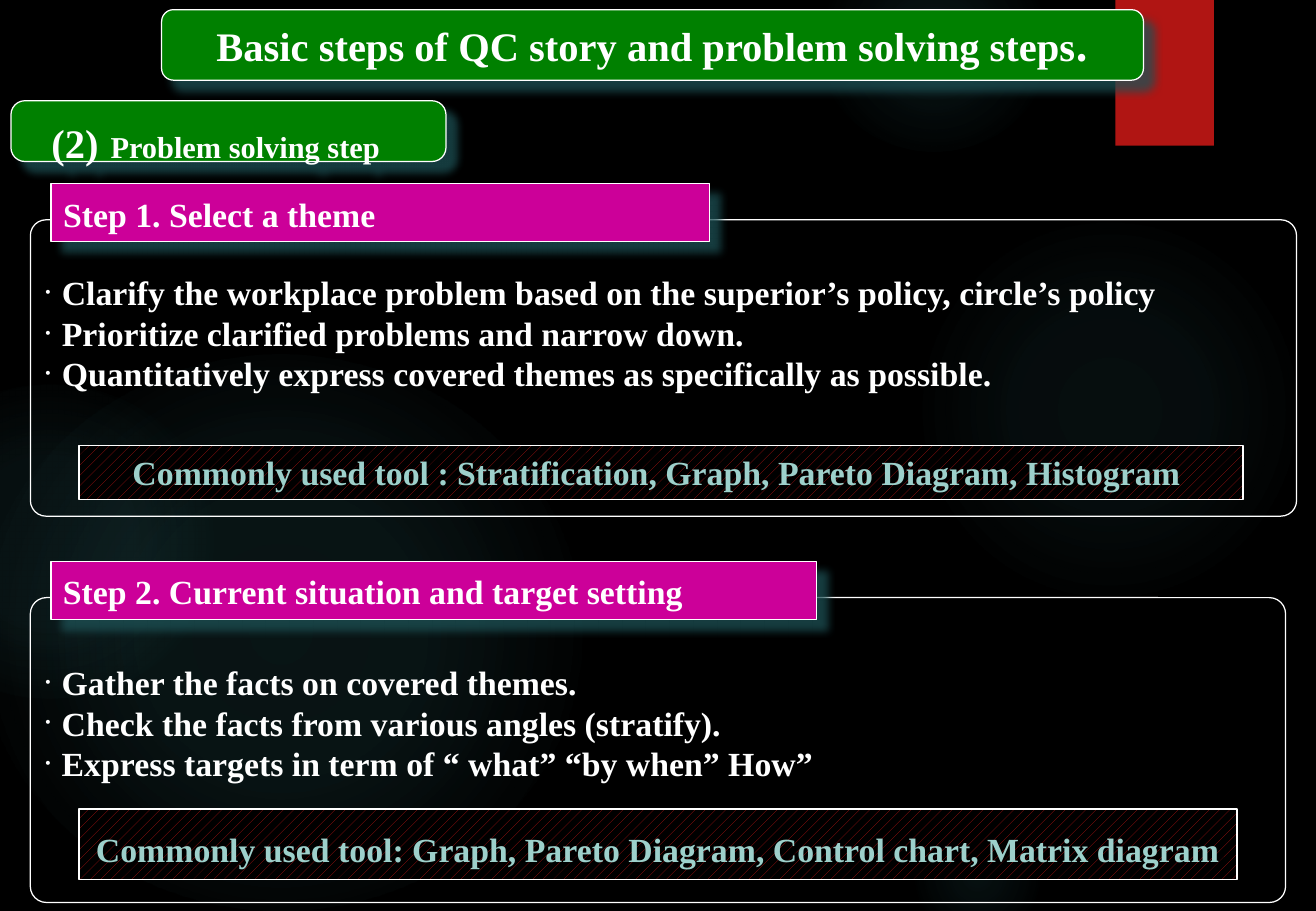
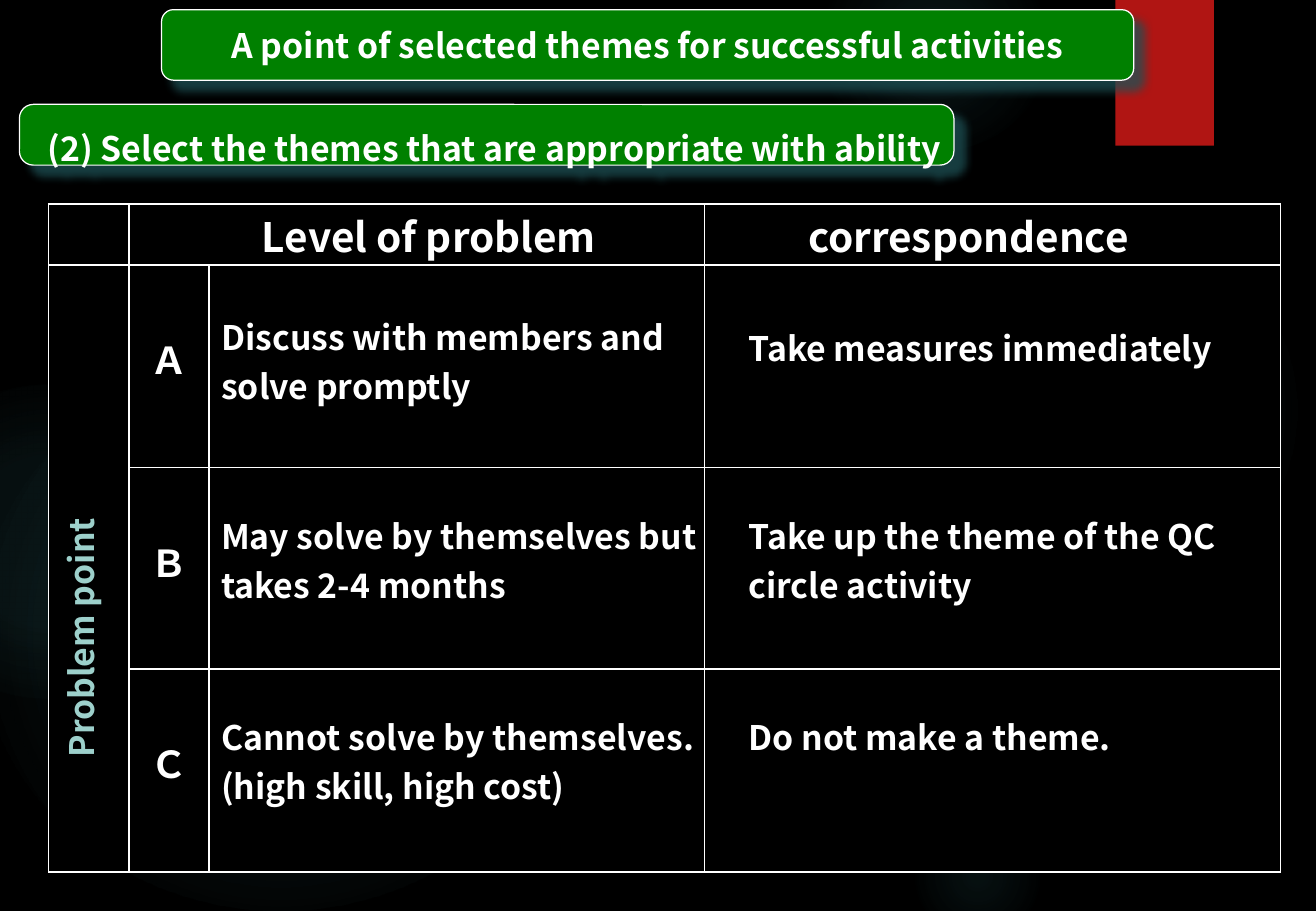
from dataclasses import dataclass

from lxml import etree
from pptx import Presentation
from pptx.dml.color import RGBColor as Rgb
from pptx.enum.dml import MSO_PATTERN as Pat
from pptx.enum.shapes import MSO_SHAPE as Kind
from pptx.enum.text import MSO_ANCHOR as Anchor
from pptx.enum.text import MSO_AUTO_SIZE as Fit
from pptx.enum.text import PP_ALIGN as Align
from pptx.oxml import parse_xml
from pptx.oxml.ns import nsdecls, qn
from pptx.util import Inches, Pt


@dataclass(frozen=True)
class Theme:
    back: str = "000000"
    ink: str = "FFFFFF"
    pale: str = "9DD0CB"
    green: str = "008000"
    pink: str = "CC0099"
    red: str = "B01513"
    glow: str = "50B9C1"
    shade: str = "1E5155"
    serif: str = "Times New Roman"
    sans: str = "Noto Sans CJK JP"
    note: float = 18
    body: float = 20
    mark: float = 22
    head: float = 24
    wide: float = 28
    thin: float = 0.75
    rule: float = 1


T = Theme()


@dataclass(frozen=True)
class Run:
    text: str
    size: float = T.body
    font: str = T.serif
    tint: str = T.ink


def sans(text, size=T.body, tint=T.ink):
    return Run(text, size, T.sans, tint)


GAP = sans(" ", T.wide)

GLOWS = [
    ((7.46, 1.83, 3.34, 3.08), ((0, 7), (36, 6), (69, 0))),
    ((6.74, -0.5, 1.9, 1.75), ((0, 14), (36, 7), (73, 0))),
    ((7.46, 6.67, 1.17, 1.08), ((0, 9), (36, 5), (66, 0))),
    ((-0.18, 2.92, 4.97, 4.58), ((0, 11), (36, 10), (75, 0))),
    ((-0.99, 3.17, 2.8, 2.58), ((0, 8), (36, 8), (72, 0))),
]

GRID = {"left": 0.4, "top": 1.68, "cols": (0.66, 0.66, 4.08, 4.74), "rows": (0.5, 1.67, 1.66, 1.67)}

LEVELS = [
    ("Ａ", "Discuss with members and solve promptly", [sans("Take measures immediately"), GAP]),
    ("Ｂ", "May solve by themselves but takes 2-4 months",
     [sans("Take up the theme of the QC circle activity")]),
    ("Ｃ", "Cannot solve by themselves. (high skill, high cost)", [sans("Do not make a theme.")]),
]


def rgb(code):
    return Rgb.from_string(code)


def inch(sizes):
    return [Inches(size) for size in sizes]


def write(par, runs, align=Align.LEFT):
    par.alignment = align
    for item in runs:
        run = par.add_run()
        run.text = item.text
        font = run.font
        font.name, font.size, font.bold = item.font, Pt(item.size), True
        font.color.rgb = rgb(item.tint)
        east = etree.SubElement(run._r.get_or_add_rPr(), qn("a:ea"))
        east.set("typeface", item.font)


def setup(frame, left=0.1, right=0.1, anchor=Anchor.TOP):
    frame.word_wrap = True
    frame.auto_size = Fit.NONE
    frame.vertical_anchor = anchor
    frame.margin_left, frame.margin_right = inch((left, right))
    frame.margin_top = frame.margin_bottom = Inches(0.05)


def panel(slide, kind, box, fill=None, line=True, curve=None):
    shape = slide.shapes.add_shape(kind, *inch(box))
    shape.shadow.inherit = False
    if fill:
        shape.fill.solid()
        shape.fill.fore_color.rgb = rgb(fill)
    else:
        shape.fill.background()
    if line:
        shape.line.color.rgb = rgb(T.ink)
        shape.line.width = Pt(T.thin)
    else:
        shape.line.fill.background()
    if curve is not None:
        shape.adjustments[0] = curve
    return shape


def shade(shape):
    effect = shape.element.spPr.find(qn("a:effectLst"))
    effect.append(parse_xml(
        f'<a:outerShdw {nsdecls("a")} blurRad="{Pt(5)}" dist="{Pt(8.5)}" dir="2700000" algn="tl" '
        f'rotWithShape="0"><a:srgbClr val="{T.shade}"><a:alpha val="75000"/></a:srgbClr></a:outerShdw>'))


def glow(slide, box, stops):
    shape = panel(slide, Kind.OVAL, box, line=False)
    marks = "".join(
        f'<a:gs pos="{pos * 1000}"><a:srgbClr val="{T.glow}"><a:alpha val="{dense * 1000}"/></a:srgbClr></a:gs>'
        for pos, dense in stops)
    props = shape.element.spPr
    props.replace(props.find(qn("a:noFill")), parse_xml(
        f'<a:gradFill {nsdecls("a")}><a:gsLst>{marks}</a:gsLst><a:path path="circle">'
        '<a:fillToRect l="50000" t="50000" r="50000" b="50000"/></a:path></a:gradFill>'))
    return shape


def decor(slide):
    parts = [glow(slide, box, stops) for box, stops in GLOWS]
    parts.append(panel(slide, Kind.RECTANGLE, (9.18, 0, 0.81, 1.2), T.red, line=False))
    first = slide.slide_layout.placeholders[0].element
    for index, part in enumerate(parts, 20):
        part.element.nvSpPr.cNvPr.set("id", str(index))
        first.addprevious(part.element)


def title(slide, width, runs):
    box = (1.33, 0.08, width, 0.58)
    plate = panel(slide, Kind.ROUNDED_RECTANGLE, box, T.green, curve=0.167)
    shade(plate)
    head = slide.shapes.title
    head.element.addprevious(plate.element)
    head.left, head.top, head.width, head.height = inch(box)
    setup(head.text_frame, anchor=Anchor.MIDDLE)
    write(head.text_frame.paragraphs[0], runs, Align.CENTER)


def topic(slide, box, inset, runs):
    plate = panel(slide, Kind.ROUNDED_RECTANGLE, box, T.green, curve=0.229)
    shade(plate)
    setup(plate.text_frame, inset, 0)
    write(plate.text_frame.paragraphs[0], runs)


def points(slide, box, lines):
    frame = slide.shapes.add_textbox(*inch(box)).text_frame
    setup(frame)
    for index, line in enumerate(lines):
        par = frame.paragraphs[0] if index == 0 else frame.add_paragraph()
        props = par._p.get_or_add_pPr()
        props.set("marL", str(Inches(0.16)))
        props.set("indent", str(-Inches(0.16)))
        etree.SubElement(props, qn("a:buFont")).set("typeface", T.serif)
        etree.SubElement(props, qn("a:buChar")).set("char", "·")
        par.line_spacing = Pt(24)
        write(par, [Run(line)])


def step(slide, top, size, name, span, lines, drop, tool, runs):
    left, width = 0.25, size[0]
    panel(slide, Kind.ROUNDED_RECTANGLE, (left, top, *size), curve=0.053)
    label = panel(slide, Kind.RECTANGLE, (0.42, top - 0.3, span, 0.48), T.pink)
    shade(label)
    setup(label.text_frame)
    par = label.text_frame.paragraphs[0]
    par.line_spacing = 1.1
    write(par, [Run(name)])
    points(slide, (left, top + drop, width, 1.1), lines)
    strip = panel(slide, Kind.RECTANGLE, tool, T.back)
    strip.fill.patterned()
    strip.fill.pattern = Pat.PERCENT_20
    strip.fill.fore_color.rgb, strip.fill.back_color.rgb = rgb(T.red), rgb(T.back)
    setup(strip.text_frame)
    write(strip.text_frame.paragraphs[0], runs, Align.CENTER)


def trim(cell):
    props = cell._tc.get_or_add_tcPr()
    for side in ("lnL", "lnR", "lnT", "lnB"):
        props.append(parse_xml(
            f'<a:{side} {nsdecls("a")} w="{Pt(T.rule)}"><a:solidFill>'
            f'<a:srgbClr val="{T.ink}"/></a:solidFill></a:{side}>'))
    cell.fill.solid()
    cell.fill.fore_color.rgb = rgb(T.back)


def enter(cell, runs, pads, align=Align.LEFT, anchor=Anchor.TOP):
    cell.margin_left, cell.margin_top, cell.margin_right, cell.margin_bottom = inch(pads)
    cell.vertical_anchor = anchor
    write(cell.text_frame.paragraphs[0], runs, align)


def matrix(slide):
    cols, rows = GRID["cols"], GRID["rows"]
    table = slide.shapes.add_table(
        len(rows), len(cols), *inch((GRID["left"], GRID["top"], sum(cols), sum(rows)))).table
    table.first_row = table.horz_banding = False
    for col, width in zip(table.columns, cols):
        col.width = Inches(width)
    for row, height in zip(table.rows, rows):
        row.height = Inches(height)
    for cell in table.iter_cells():
        trim(cell)
    table.cell(0, 1).merge(table.cell(0, 2))
    table.cell(1, 0).merge(table.cell(3, 0))
    heads = ((1, "Level of problem", (0.3, 0, 0.1, 0)), (3, "correspondence", (0.1, 0, 0.5, 0)))
    for col, text, pads in heads:
        enter(table.cell(0, col), [sans(text, T.head)], pads, Align.CENTER, Anchor.MIDDLE)
    for row, (mark, level, reply) in enumerate(LEVELS, 1):
        drop = 0.38 if row == 1 else 0.35
        enter(table.cell(row, 1), [sans(mark, T.mark)], (0.1, 0.55, 0.1, 0), Align.CENTER)
        enter(table.cell(row, 2), [sans(level)], (0.1, drop, 0, 0))
        enter(table.cell(row, 3), reply, (0.36, 0.35, 0.2, 0))


def upright(slide, box, runs):
    frame = slide.shapes.add_textbox(*inch(box)).text_frame
    setup(frame, 0, 0, Anchor.MIDDLE)
    frame._txBody.bodyPr.set("vert", "vert270")
    write(frame.paragraphs[0], runs, Align.CENTER)


def steps(slide):
    title(slide, 8.08, [
        Run("Basic steps of QC story and problem solving steps", T.head), sans(".", T.head)])
    topic(slide, (0.09, 0.83, 3.58, 0.5), 0.3, [
        Run("(2)", T.head), Run(" ", T.wide), Run("Problem solving step", T.note), GAP])
    step(slide, 1.81, (10.42, 2.44), "Step 1. Select a theme", 5.42, [
        "Clarify the workplace problem based on the superior’s policy, circle’s policy",
        "Prioritize clarified problems and narrow down.",
        "Quantitatively express covered themes as specifically as possible.",
    ], 0.38, (0.65, 3.67, 9.58, 0.44), [
        Run("Commonly used tool : Stratification, Graph, Pareto Diagram, Histogram ", tint=T.pale)])
    step(slide, 4.92, (10.33, 2.51), "Step 2. Current situation and target setting", 6.3, [
        "Gather the facts on covered themes.",
        "Check the facts from various angles (stratify).",
        "Express targets in term of “ what” “by when” How”",
    ], 0.48, (0.65, 6.66, 9.53, 0.58), [
        Run("Commonly used tool: Graph, Pareto Diagram, Control chart, Matrix diagram", tint=T.pale), GAP])


def themes(slide):
    title(slide, 8, [sans("A point of selected themes for successful activities")])
    topic(slide, (0.16, 0.86, 7.69, 0.5), 0.2, [
        sans("(2) Select the themes that are appropriate with ability"), GAP])
    matrix(slide)
    upright(slide, (0.34, 4, 0.66, 2.5), [sans("Problem point", tint=T.pale)])


def main():
    deck = Presentation()
    deck.slide_width, deck.slide_height = inch((10.83, 7.5))
    back = deck.slide_master.background.fill
    back.solid()
    back.fore_color.rgb = rgb(T.back)
    only = deck.slide_layouts[5]
    for index, build in enumerate((steps, themes)):
        slide = deck.slides.add_slide(only)
        if index == 0:
            decor(slide)
        build(slide)
    deck.save("out.pptx")


if __name__ == "__main__":
    main()
